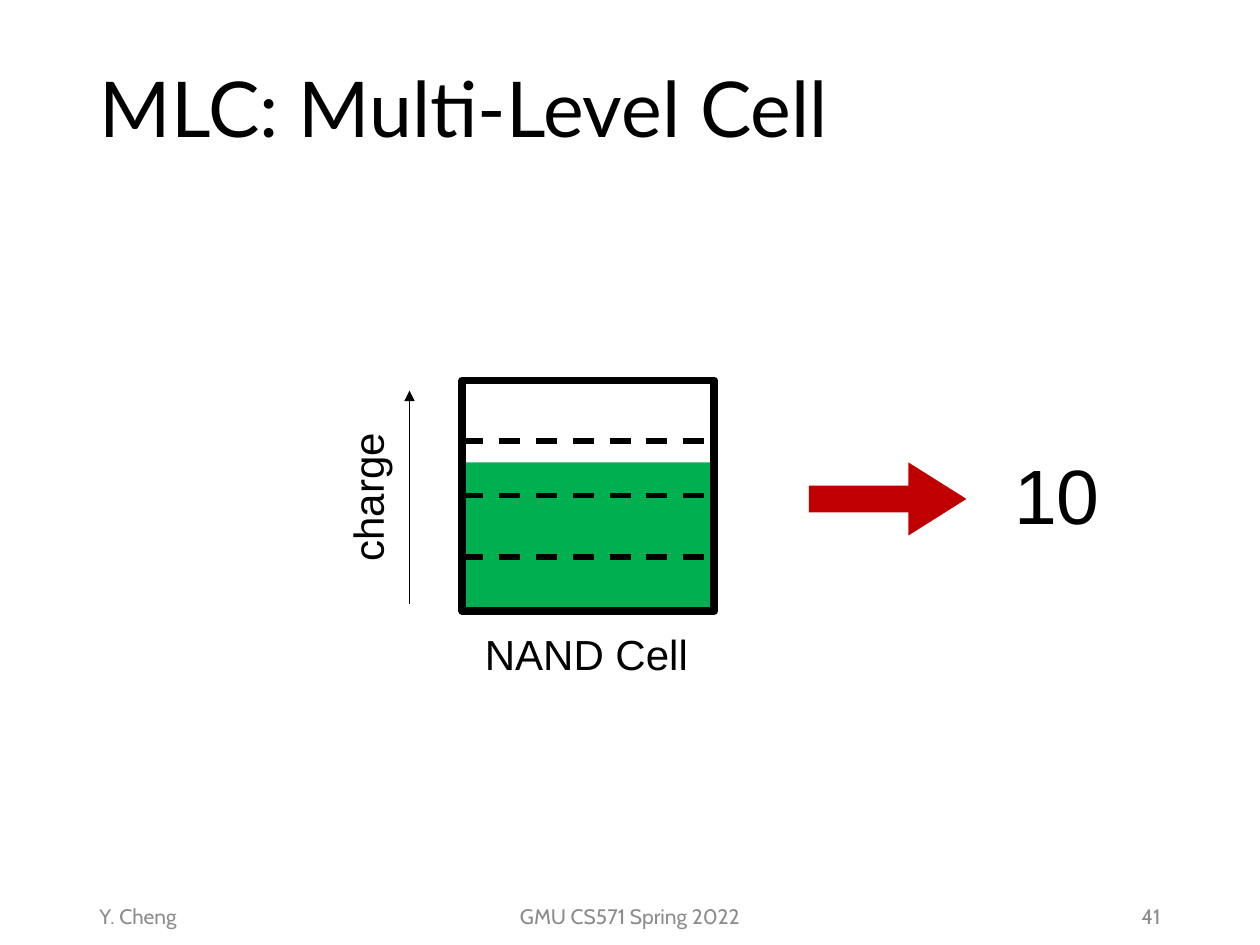
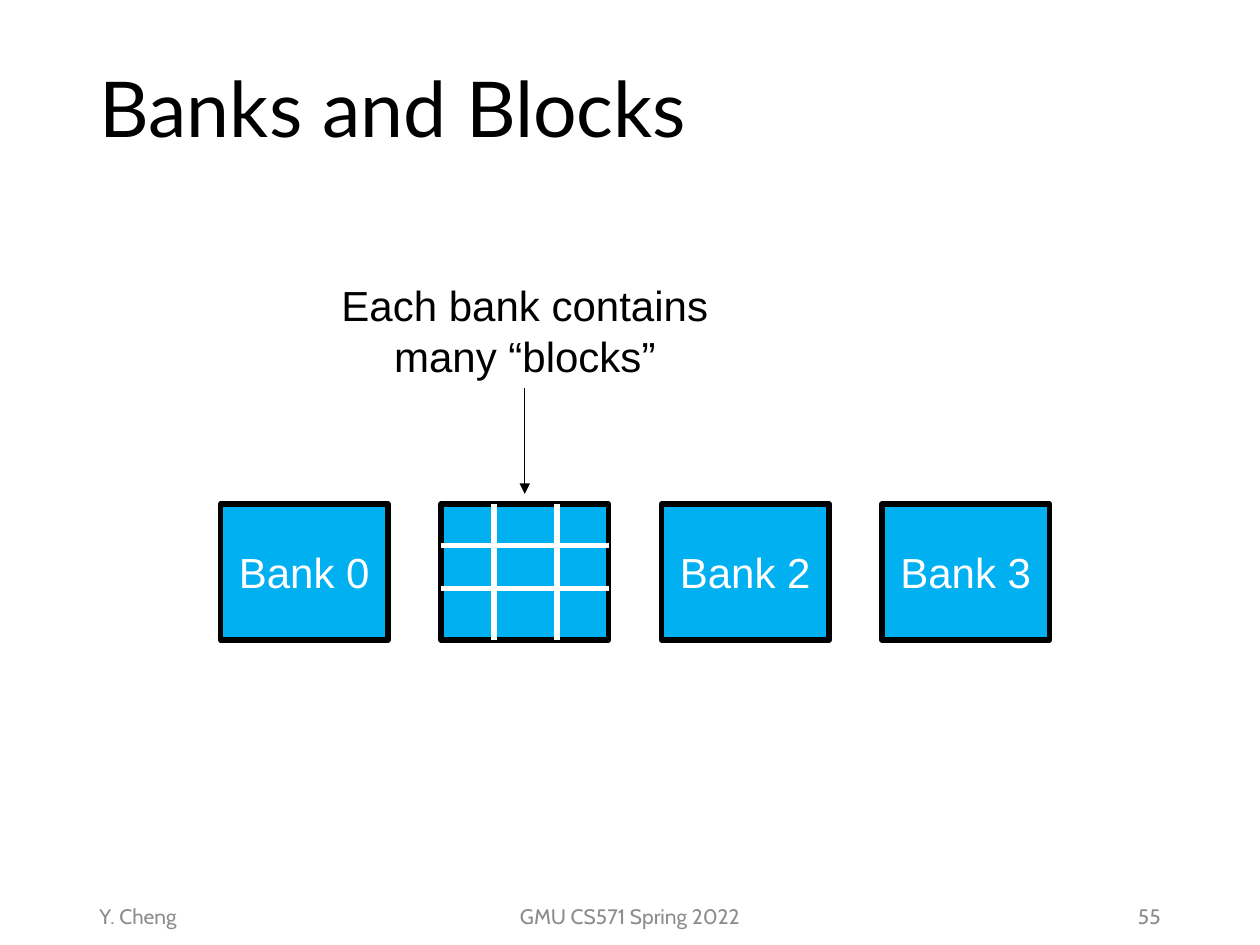
from lxml import etree
from pptx import Presentation
from pptx.dml import color as c
from pptx.enum import dml, shapes, text
from pptx.oxml import ns
from pptx.util import Inches, Pt

COLORS = {
    "black": "000000",
    "white": "FFFFFF",
    "footer": "8C8C8C",
    "charge": "00B050",
    "arrow": "C00000",
    "bank": "00B0F0",
}
LEFT, CENTER, RIGHT = text.PP_ALIGN.LEFT, text.PP_ALIGN.CENTER, text.PP_ALIGN.RIGHT
TITLE_STYLE = {"name": "Lato", "size": Pt(44), "bold": False}
LABEL_STYLE = {"name": "Arial", "size": Pt(24)}
VALUE_STYLE = {"name": "Arial", "size": Pt(44)}
FOOTER_STYLE = {"name": "Cabin", "size": Pt(12)}
TITLE_BOX = (0.69, 0.17, 8.62, 1.45)
MIDDLE = {"vertical_anchor": text.MSO_ANCHOR.MIDDLE, "word_wrap": True}
GROWING = {"word_wrap": False, "auto_size": text.MSO_AUTO_SIZE.SHAPE_TO_FIT_TEXT}


def apply(target, values):
    """Set every attribute named in a dict of format values."""
    for name, value in values.items():
        setattr(target, name, value)


def rgb(name):
    """Return the named palette colour."""
    return c.RGBColor.from_string(COLORS[name])


def inches(*lengths):
    """Convert numbers to lengths in inches."""
    return [Inches(length) for length in lengths]


def write(shape, words, style, color="black", align=LEFT, frame=MIDDLE, spacing=None):
    """Fill a shape with one formatted paragraph."""
    apply(shape.text_frame, frame)
    paragraph = shape.text_frame.paragraphs[0]
    apply(paragraph, {"alignment": align, "line_spacing": spacing})
    run = paragraph.add_run()
    run.text = words
    apply(run.font, style)
    run.font.color.rgb = rgb(color)


def add_text(slide, box, words, style, **options):
    """Add a text box holding one paragraph."""
    shape = slide.shapes.add_textbox(*inches(*box))
    write(shape, words, style, **options)
    return shape


def add_block(slide, box, fill=None, border=None, kind=shapes.MSO_SHAPE.RECTANGLE):
    """Add a preset shape with an optional fill and black border width."""
    shape = slide.shapes.add_shape(kind, *inches(*box))
    shape.shadow.inherit = False
    if fill:
        shape.fill.solid()
        shape.fill.fore_color.rgb = rgb(fill)
    else:
        shape.fill.background()
    if border:
        shape.line.color.rgb = rgb("black")
        shape.line.width = Pt(border)
    else:
        shape.line.fill.background()
    return shape


def add_line(slide, start, end, width, color="black", dashed=False, arrow=False):
    """Add a straight line, optionally dashed or ending in an arrowhead."""
    line = slide.shapes.add_connector(
        shapes.MSO_CONNECTOR.STRAIGHT, *inches(*start, *end))
    line.line.color.rgb = rgb(color)
    line.line.width = Pt(width)
    if dashed:
        line.line.dash_style = dml.MSO_LINE.DASH
    properties = line.element.spPr
    if arrow:
        outline = properties.find(ns.qn("a:ln"))
        etree.SubElement(outline, ns.qn("a:tailEnd"), type="triangle")
    etree.SubElement(properties, ns.qn("a:effectLst"))
    return line


def add_footer(slide, number):
    """Add the course, author and page number along the bottom."""
    parts = (
        (3.31, 3.38, "GMU CS571 Spring 2022", CENTER),
        (0.69, 2.25, "Y. Cheng", LEFT),
        (7.06, 2.25, str(number), RIGHT),
    )
    for left, width, words, align in parts:
        add_text(slide, (left, 7.07, width, 0.4), words, FOOTER_STYLE,
                 color="footer", align=align)


def add_slide(presentation, title, number):
    """Start a titled slide with its footer."""
    slide = presentation.slides.add_slide(presentation.slide_layouts[5])
    placeholder = slide.shapes.title
    apply(placeholder, dict(zip(("left", "top", "width", "height"), inches(*TITLE_BOX))))
    write(placeholder, title, TITLE_STYLE, spacing=0.9)
    add_footer(slide, number)
    return slide


def draw_cell(slide, left, top, width, height):
    """Draw the charged cell with its level thresholds and labels."""
    charge_offset = 0.65
    add_block(slide, (left, top + charge_offset, width, height - charge_offset), "charge")
    frame = add_block(slide, (left, top, width, height), border=4.5)
    for level in (0.48, height / 2, 1.4):
        threshold = add_line(slide, (left, top + level), (left + width, top + level),
                             3, dashed=True)
        if level == height / 2:
            threshold.begin_connect(frame, 1)
            threshold.end_connect(frame, 3)
    add_text(slide, (left + 0.08, top + height + 0.09, 1.83, 0.5), "NAND Cell",
             LABEL_STYLE, frame=GROWING)
    axis = left - 0.42
    add_line(slide, (axis, top + height - 0.06), (axis, top + 0.08), 0.5, arrow=True)
    label = add_text(slide, (left - 1.37, top + 0.67, 1.23, 0.5), "charge",
                     LABEL_STYLE, frame=GROWING)
    label.rotation = 270


def draw_reading(slide, left, top, width, height):
    """Draw the arrow leading to the bits read from the cell."""
    arrow = add_block(slide, (left, top, width, height), "arrow",
                      kind=shapes.MSO_SHAPE.RIGHT_ARROW)
    arrow.adjustments[0] = 0.365
    arrow.adjustments[1] = 0.793
    add_text(slide, (left + width + 0.28, top - 0.17, 0.89, 0.84), "10",
             VALUE_STYLE, frame=GROWING)


def draw_blocks(slide, left, top, width, height):
    """Divide a bank into blocks with white lines."""
    for offset in (0.33, 0.67):
        add_line(slide, (left, top + offset), (left + width, top + offset), 3, "white")
    for offset in (0.42, 0.92):
        add_line(slide, (left + offset, top + height), (left + offset, top), 3, "white")


def draw_banks(slide, left, top, width, height, pitch=1.75, divided=1):
    """Draw the row of four banks, one of them divided into blocks."""
    for index in range(4):
        box = (left + index * pitch, top, width, height)
        bank = add_block(slide, box, "bank", border=3)
        if index == divided:
            draw_blocks(slide, *box)
        else:
            write(bank, f"Bank {index}", LABEL_STYLE, color="white", align=CENTER)


def draw_callout(slide, left, top, width, height):
    """Draw the remark and the arrow below it."""
    remark = add_text(slide, (left, top, width, height),
                      "Each bank contains many “blocks”", LABEL_STYLE,
                      align=CENTER, frame={**GROWING, "word_wrap": True})
    middle, bottom = left + width / 2, top + height
    pointer = add_line(slide, (middle, bottom), (middle, bottom + 0.84), 0.5, arrow=True)
    pointer.begin_connect(remark, 2)


def main():
    """Build and save the presentation."""
    presentation = Presentation()
    presentation.slide_width, presentation.slide_height = inches(10, 7.5)

    slide = add_slide(presentation, "MLC: Multi-Level Cell", 41)
    draw_cell(slide, 3.67, 3.02, 2, 1.83)
    draw_reading(slide, 6.42, 3.67, 1.25, 0.58)

    slide = add_slide(presentation, "Banks and Blocks", 55)
    draw_banks(slide, 1.75, 4, 1.33, 1.08)
    draw_callout(slide, 2.25, 2.17, 3.83, 0.91)

    presentation.save("out.pptx")


if __name__ == "__main__":
    main()
